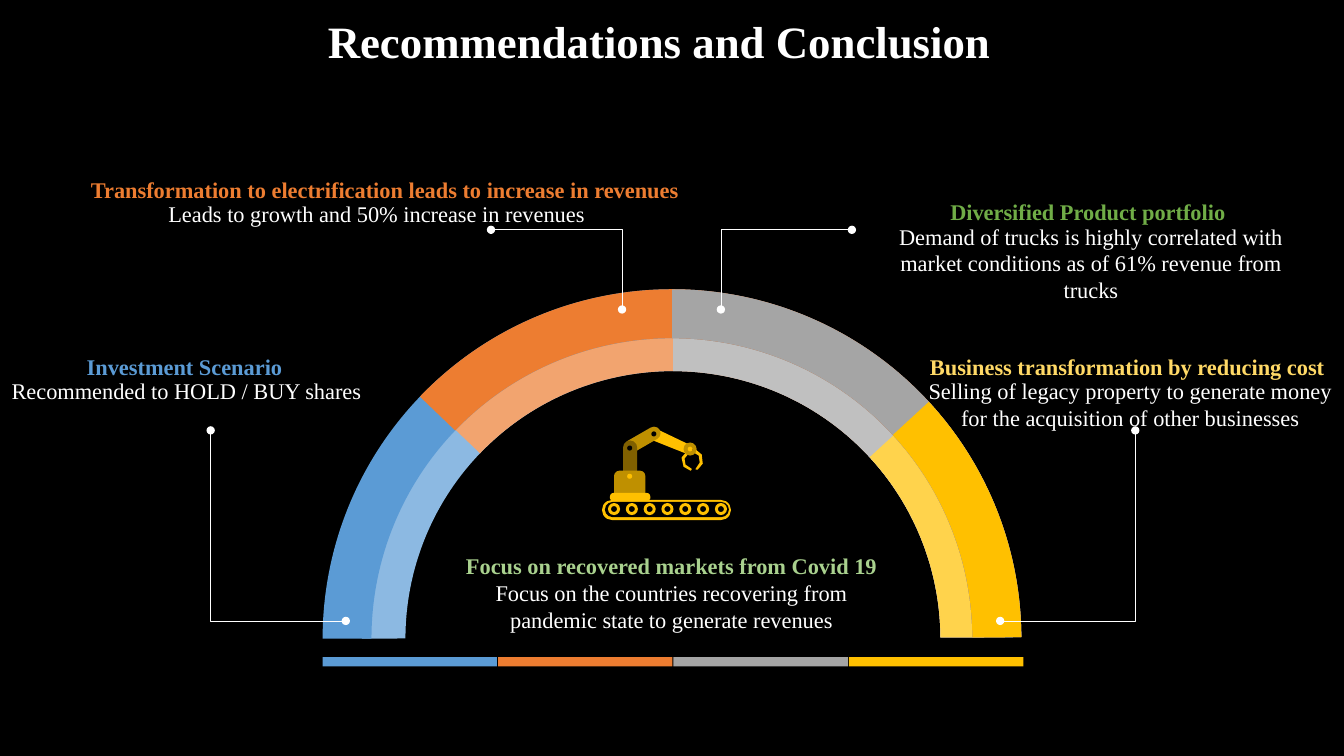
from dataclasses import dataclass
from lxml import etree
from pptx import Presentation
from pptx import util as u
from pptx.dml.color import RGBColor
from pptx.enum import shapes, text
from pptx.oxml.ns import qn

FONT = "Times New Roman"
BLACK = RGBColor(0x00, 0x00, 0x00)
WHITE = RGBColor(0xFF, 0xFF, 0xFF)
BLUE = RGBColor(0x5B, 0x9B, 0xD5)
ORANGE = RGBColor(0xED, 0x7D, 0x31)
GRAY = RGBColor(0xA5, 0xA5, 0xA5)
GOLD = RGBColor(0xFF, 0xC0, 0x00)
PALE_BLUE = RGBColor(0x8C, 0xB9, 0xE2)
PALE_ORANGE = RGBColor(0xF2, 0xA4, 0x6F)
PALE_GRAY = RGBColor(0xC0, 0xC0, 0xC0)
PALE_GOLD = RGBColor(0xFF, 0xD3, 0x4C)
GREEN = RGBColor(0x70, 0xAD, 0x47)
PALE_GREEN = RGBColor(0xA9, 0xD1, 0x8E)
YELLOW = RGBColor(0xFF, 0xD9, 0x66)
BRONZE = RGBColor(0xBF, 0x90, 0x00)
DARK_BRONZE = RGBColor(0x80, 0x60, 0x00)

Kind = shapes.MSO_SHAPE
Align = text.PP_ALIGN
Frame = tuple[float, float, float, float]
Point = tuple[float, float]


@dataclass
class Line:
    text: str
    color: RGBColor = WHITE
    bold: bool = False
    align: Align = Align.CENTER


@dataclass
class Label:
    frame: Frame
    lines: list[Line]


@dataclass
class Part:
    kind: Kind
    frame: Frame
    color: RGBColor
    adjustments: tuple[float, ...] = ()
    rotation: float = 0


@dataclass
class Leader:
    """A line that runs level from start, then upright to end."""
    start: Point
    end: Point


@dataclass
class Ring:
    frame: Frame
    colors: list[RGBColor]


LABELS = [
    Label((-0.09, 3.45, 3.84, 0.37), [Line("Investment Scenario", BLUE, True)]),
    Label((-0.07, 3.69, 3.84, 0.37), [Line("Recommended to HOLD / BUY shares")]),
    Label((0.56, 1.7, 6.27, 0.37), [Line(
        "Transformation to electrification leads to increase in revenues",
        ORANGE, True, Align.RIGHT)]),
    Label((0.6, 1.94, 6.27, 0.37),
          [Line("Leads to growth and 50% increase in revenues")]),
    Label((8.61, 1.92, 4.36, 0.37),
          [Line("Diversified Product portfolio", GREEN, True)]),
    Label((8.64, 2.16, 4.36, 0.91), [Line(
        "Demand of trucks is highly correlated with market conditions "
        "as of 61% revenue from trucks")]),
    Label((9.05, 3.45, 4.26, 0.37),
          [Line("Business transformation by reducing cost", YELLOW, True)]),
    Label((9.08, 3.69, 4.26, 0.64), [Line(
        "Selling of legacy property to generate money for the acquisition "
        "of other businesses")]),
    Label((4.48, 5.43, 4.36, 0.91), [
        Line("Focus on recovered markets from Covid 19", PALE_GREEN, True),
        Line("Focus on the countries recovering from pandemic state "
             "to generate revenues")]),
]

RINGS = [
    Ring((3.59, 3.25, 6.17, 6.17),
         [PALE_BLUE, PALE_ORANGE, PALE_GRAY, PALE_GOLD]),
    Ring((3.2, 2.87, 6.93, 6.93), [BLUE, ORANGE, GRAY, GOLD]),
]
ARC_STARTS = [108, 134.3, 162.02, 190.4]
ARC_END = 215.87
ARC_THICKNESS = 0.07

LEADERS = [
    Leader((4.87, 2.28), (6.17, 3.07)),
    Leader((8.45, 2.28), (7.15, 3.07)),
    Leader((3.43, 6.16), (2.09, 4.27)),
    Leader((9.92, 6.16), (11.26, 4.27)),
]

ROBOT_ARM = [
    Part(Kind.TRAPEZOID, (6.61, 4.18, 0.12, 0.42), GOLD, (0.12,), 113.7),
    Part(Kind.ROUNDED_RECTANGLE, (6.17, 4.3, 0.4, 0.13), BRONZE, (0.5,), 330),
    Part(Kind.OVAL, (6.46, 4.28, 0.05, 0.05), BLACK),
    Part(Kind.ROUND_2_SAME_RECTANGLE, (6.18, 4.37, 0.14, 0.4), DARK_BRONZE,
         (0.5, 0)),
    Part(Kind.OVAL, (6.22, 4.42, 0.05, 0.05), BLACK),
]
CLAWS = [
    [(6.9, 4.46), (6.96, 4.51), (6.97, 4.6), (6.92, 4.66), (6.9, 4.66),
     (6.9, 4.65), (6.94, 4.59), (6.93, 4.52), (6.88, 4.49)],
    [(6.81, 4.48), (6.76, 4.54), (6.78, 4.63), (6.85, 4.67), (6.86, 4.66),
     (6.86, 4.65), (6.8, 4.61), (6.79, 4.55), (6.83, 4.5)],
]
ROBOT_BASE = [
    Part(Kind.DONUT, (6.78, 4.39, 0.13, 0.13), BRONZE, (0.31,)),
    Part(Kind.ROUND_2_SAME_RECTANGLE, (6.09, 4.67, 0.31, 0.25), BRONZE,
         (0.2, 0.04)),
    Part(Kind.ROUND_2_SAME_RECTANGLE, (6.05, 4.89, 0.4, 0.07), GOLD,
         (0.5, 0.25)),
    Part(Kind.OVAL, (6.22, 4.7, 0.05, 0.05), GOLD),
    Part(Kind.ROUNDED_RECTANGLE, (5.97, 4.96, 1.28, 0.2), GOLD, (0.5,)),
    Part(Kind.ROUNDED_RECTANGLE, (6, 4.98, 1.23, 0.15), BLACK, (0.5,)),
]
WHEELS = [Part(Kind.DONUT, (6.03 + 1.06 / 6 * index, 4.99, 0.12, 0.12), GOLD)
          for index in range(7)]


def paint(shape, color: RGBColor) -> None:
    shape.shadow.inherit = False
    shape.fill.solid()
    shape.fill.fore_color.rgb = color
    shape.line.fill.background()


def add_part(page, part: Part) -> None:
    shape = page.shapes.add_shape(part.kind, *map(u.Inches, part.frame))
    for index, value in enumerate(part.adjustments):
        shape.adjustments[index] = value
    shape.rotation = part.rotation
    paint(shape, part.color)


def add_outline(page, points: list[Point], color: RGBColor) -> None:
    corners = [(u.Inches(x), u.Inches(y)) for x, y in points]
    builder = page.shapes.build_freeform(*corners[0])
    builder.add_line_segments(corners[1:], close=True)
    paint(builder.convert_to_shape(), color)


def add_text(page, frame: Frame, lines: list[Line], *, size: float = 16,
             spacing: float = 1.0, anchor=text.MSO_ANCHOR.TOP,
             fit=text.MSO_AUTO_SIZE.SHAPE_TO_FIT_TEXT) -> None:
    box = page.shapes.add_textbox(*map(u.Inches, frame)).text_frame
    box.word_wrap = True
    box.auto_size = fit
    box.vertical_anchor = anchor
    for index, line in enumerate(lines):
        para = box.add_paragraph() if index else box.paragraphs[0]
        para.alignment = line.align
        para.line_spacing = spacing
        span = para.add_run()
        span.text = line.text
        span.font.name = FONT
        span.font.size = u.Pt(size)
        span.font.bold = line.bold
        span.font.color.rgb = line.color


def add_leader(page, leader: Leader) -> None:
    line = page.shapes.add_connector(
        shapes.MSO_CONNECTOR.ELBOW, *map(u.Inches, leader.start + leader.end))
    line.line.color.rgb = WHITE
    line.line.width = u.Pt(0.5)
    properties = line._element.spPr
    guides = properties.find(qn("a:prstGeom")).get_or_add_avLst()
    etree.SubElement(guides, qn("a:gd"), name="adj1", fmla="val 100000")
    for tag in ("a:headEnd", "a:tailEnd"):
        etree.SubElement(properties.find(qn("a:ln")), qn(tag), type="oval")
    etree.SubElement(properties, qn("a:effectLst"))


def main() -> None:
    deck = Presentation()
    deck.slide_width, deck.slide_height = u.Inches(13.33), u.Inches(7.5)
    page = deck.slides.add_slide(deck.slide_layouts[6])
    page.background.fill.solid()
    page.background.fill.fore_color.rgb = BLACK

    for ring in RINGS:
        for start, color in zip(ARC_STARTS, ring.colors):
            add_part(page, Part(Kind.BLOCK_ARC, ring.frame, color,
                                (start, ARC_END, ARC_THICKNESS)))
    add_text(page, (0.21, 0.04, 12.66, 0.79),
             [Line("Recommendations and Conclusion", bold=True)], size=32,
             spacing=0.9, anchor=text.MSO_ANCHOR.MIDDLE,
             fit=text.MSO_AUTO_SIZE.NONE)
    for label in LABELS:
        add_text(page, label.frame, label.lines)
    for index, color in enumerate(RINGS[1].colors):
        add_part(page, Part(Kind.RECTANGLE,
                            (3.2 + 1.74 * index, 6.52, 1.73, 0.09), color))
    for leader in LEADERS:
        add_leader(page, leader)
    for part in ROBOT_ARM:
        add_part(page, part)
    for claw in CLAWS:
        add_outline(page, claw, GOLD)
    for part in ROBOT_BASE + WHEELS:
        add_part(page, part)
    deck.save("out.pptx")


if __name__ == "__main__":
    main()
